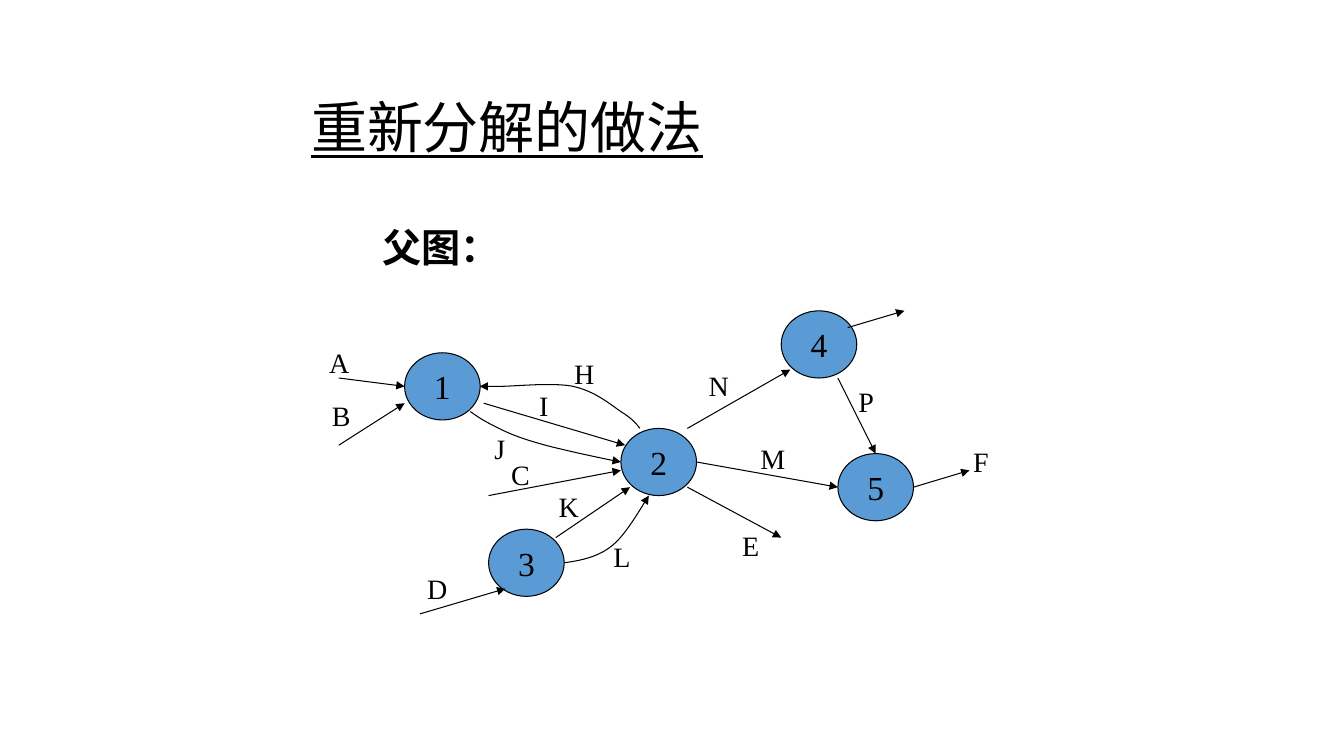
from lxml.etree import SubElement
from pptx import Presentation
from pptx.dml.color import RGBColor
from pptx.enum.shapes import MSO_CONNECTOR, MSO_SHAPE
from pptx.enum.text import MSO_ANCHOR, MSO_AUTO_SIZE, PP_ALIGN
from pptx.oxml.ns import qn
from pptx.util import Pt

BLACK = "000000"
BLUE = "5B9BD5"
SERIF = "Times New Roman"
CURVE_STEPS = 10

PROCESSES = [
    ("1", 289, 252), ("2", 443.5, 306), ("3", 349, 378),
    ("4", 558, 222), ("5", 598.5, 324),
]
STRAIGHT_FLOWS = [
    (242, 270, 289, 276),
    (242, 318, 289, 288),
    (300, 438.5, 361, 420.5),
    (349, 354, 443.5, 336),
    (397, 384, 450, 348),
    (345.5, 288, 446.5, 318),
    (491, 306, 564.5, 264),
    (497.5, 330, 598.5, 348),
    (491, 348, 558, 384),
    (652.5, 348, 692.5, 336),
    (605.5, 234, 646, 222),
    (598.5, 270, 625.5, 324),
]
# Each curve is a start point followed by Bezier triples.
CURVED_FLOWS = [
    [(457, 306), (454.5, 302.5), (451.5, 299), (443.5, 294),
     (435.5, 288.5), (425, 279.5), (409.5, 276),
     (395.5, 273), (367, 276), (356.5, 276),
     (345, 276), (345, 276), (342.5, 276)],
    [(336, 294), (341.5, 298), (347, 301.5), (356.5, 306),
     (365, 310.5), (375, 314), (389.5, 318),
     (404.5, 322), (435, 328.5), (443.5, 330)],
    [(403, 402), (414.5, 400.5), (427, 398), (437, 390),
     (447, 382.5), (459.5, 360), (463.5, 354)],
]
FLOW_LABELS = [
    ("A", 228, 243), ("B", 230, 281), ("H", 403, 251), ("J", 346, 305),
    ("I", 378, 274), ("C", 358, 323), ("D", 298, 405), ("K", 392, 346),
    ("L", 431, 382), ("N", 499, 260), ("M", 536, 312), ("P", 606, 271),
    ("E", 523, 374), ("F", 688, 314),
]


def color(hex_string):
    return RGBColor.from_string(hex_string)


def set_text(shape, text, size, font_name, alignment=PP_ALIGN.LEFT):
    """Write one paragraph and return its font."""
    shape.text_frame.text = text
    paragraph = shape.text_frame.paragraphs[0]
    paragraph.alignment = alignment
    run = paragraph.runs[0]
    run.font.size = Pt(size)
    run.font.name = font_name
    run.font.color.rgb = color(BLACK)
    SubElement(run.font._element, qn("a:ea"), typeface=font_name)
    return run.font


def add_title(slide, text):
    title = slide.shapes.title
    title.left, title.top, title.width, title.height = Pt(215), Pt(48), Pt(569), Pt(90)
    title.text_frame.auto_size = MSO_AUTO_SIZE.NONE
    title.text_frame.vertical_anchor = MSO_ANCHOR.MIDDLE
    set_text(title, text, 40, "Noto Sans CJK SC").underline = True
    title.text_frame.paragraphs[0].line_spacing = 0.9


def add_process(slide, number, left, top):
    circle = slide.shapes.add_shape(
        MSO_SHAPE.FLOWCHART_CONNECTOR, Pt(left), Pt(top), Pt(54), Pt(48))
    circle.shadow.inherit = False
    circle.fill.solid()
    circle.fill.fore_color.rgb = color(BLUE)
    circle.line.color.rgb = color(BLACK)
    circle.line.width = Pt(0.75)
    circle.text_frame.word_wrap = False
    circle.text_frame.vertical_anchor = MSO_ANCHOR.MIDDLE
    set_text(circle, number, 24, SERIF, PP_ALIGN.CENTER)


def style_arrow(shape):
    shape.line.color.rgb = color(BLACK)
    shape.line.width = Pt(0.75)
    properties = shape._element.spPr
    SubElement(properties.find(qn("a:ln")), qn("a:tailEnd"), type="triangle")
    SubElement(properties, qn("a:effectLst"))


def add_straight_flow(slide, *ends):
    style_arrow(slide.shapes.add_connector(
        MSO_CONNECTOR.STRAIGHT, *(Pt(end) for end in ends)))


def bezier_point(controls, t):
    weights = ((1 - t) ** 3, 3 * t * (1 - t) ** 2, 3 * t ** 2 * (1 - t), t ** 3)
    return tuple(
        Pt(sum(weight * value for weight, value in zip(weights, values)))
        for values in zip(*controls))


def add_curved_flow(slide, points):
    vertices = [
        bezier_point(points[first:first + 4], step / CURVE_STEPS)
        for first in range(0, len(points) - 1, 3)
        for step in range(1, CURVE_STEPS + 1)]
    start_x, start_y = points[0]
    builder = slide.shapes.build_freeform(Pt(start_x), Pt(start_y))
    builder.add_line_segments(vertices, close=False)
    curve = builder.convert_to_shape()
    curve.fill.background()
    style_arrow(curve)


def add_label(slide, text, left, top, width=34, height=31,
              size=20, font_name=SERIF, alignment=PP_ALIGN.LEFT):
    box = slide.shapes.add_textbox(Pt(left), Pt(top), Pt(width), Pt(height))
    box.text_frame.word_wrap = True
    return set_text(box, text, size, font_name, alignment)


def main():
    presentation = Presentation()
    presentation.slide_width, presentation.slide_height = Pt(960), Pt(540)
    slide = presentation.slides.add_slide(presentation.slide_layouts[5])
    add_title(slide, "重新分解的做法")
    for process in PROCESSES:
        add_process(slide, *process)
    for ends in STRAIGHT_FLOWS:
        add_straight_flow(slide, *ends)
    for points in CURVED_FLOWS:
        add_curved_flow(slide, points)
    for label in FLOW_LABELS:
        add_label(slide, *label)
    heading_font = add_label(slide, "父图：", 258, 156, 114, 41,
                             28, "Arial Narrow", PP_ALIGN.CENTER)
    heading_font.bold = True
    presentation.save("out.pptx")


if __name__ == "__main__":
    main()
